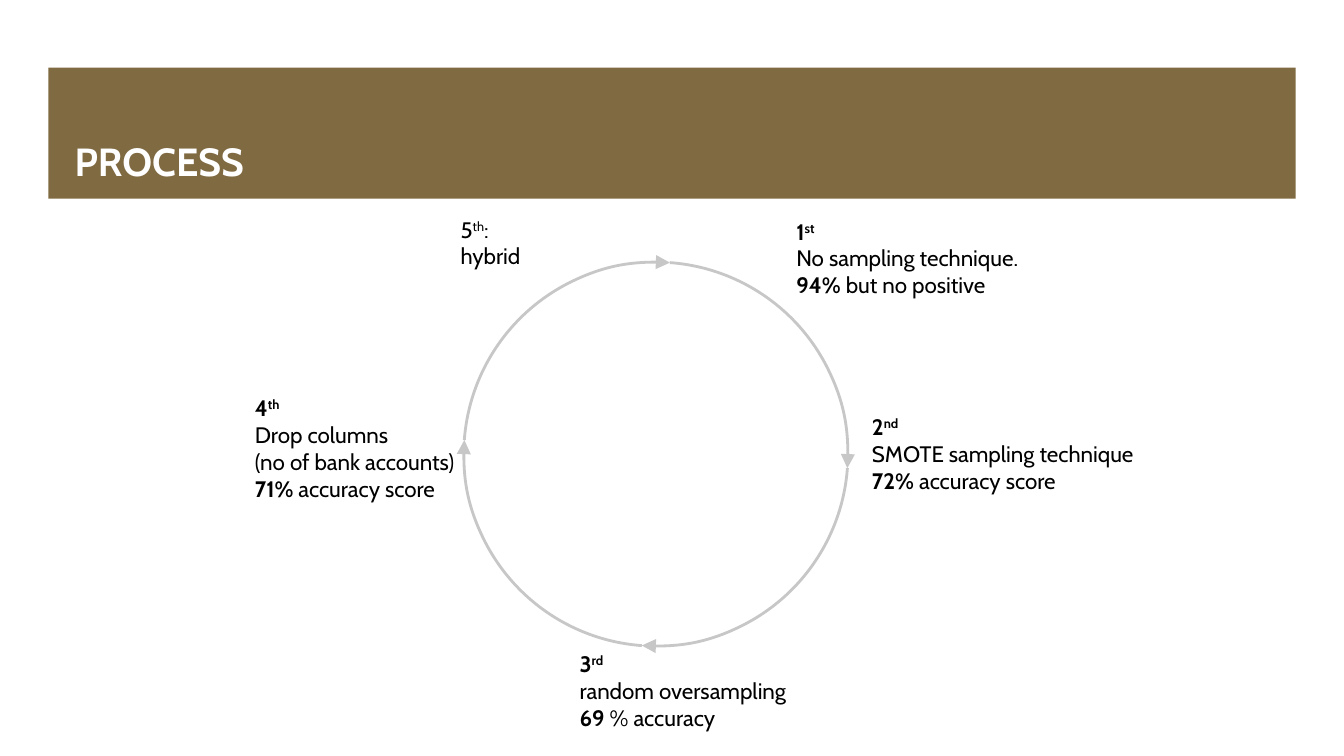
from lxml import etree
from pptx import Presentation
from pptx import util as u
from pptx.dml.color import RGBColor
from pptx.enum import shapes, text
from pptx.oxml import ns

BROWN = RGBColor(0x80, 0x6A, 0x42)
GREY = RGBColor(0xC7, 0xC7, 0xC7)
WHITE = RGBColor(0xFF, 0xFF, 0xFF)
BLACK = RGBColor(0, 0, 0)
FONT = "Cabin"
COLS, ROWS = 133.3, 75
CELL = u.Inches(0.1)

STEPS = [
    ((78, 21.1, 46.8, 9.1), [
        [("1", "b"), ("st", "b^/"), ("No sampling technique.", "/"),
         ("94%", "b"), (" but no positive", "")]]),
    ((85.5, 40.5, 42.9, 9.1), [
        [("2", "b"), ("nd", "b^")],
        [("SMOTE sampling technique", "/"),
         ("72% ", "b"), ("accuracy score", "")]]),
    ((56.5, 64, 39.4, 9.1), [
        [("3", "b"), ("rd", "b^")],
        [("random oversampling", "")],
        [("69", "b"), (" % accuracy", "")]]),
    ((24.3, 38.6, 21.9, 11.8), [
        [("4", "b"), ("th", "b^/"), ("Drop columns", "/"),
         ("(no of bank accounts)", "")],
        [("71%", "b"), (" accuracy score", "")]]),
    ((44.7, 20.9, 13.1, 9.1), [
        [("5", ""), ("th", "^"), (":", "")],
        [("hybrid", "")]]),
]


def grid(box):
    return [u.Emu(round(n * CELL)) for n in box]


def write(para, words, style, size, color):
    run = para.add_run()
    run.text = words
    font = run.font
    font.name, font.size, font.bold = FONT, u.Pt(size), "b" in style
    font.color.rgb = color
    if "^" in style:
        run._r.get_or_add_rPr().set("baseline", "30000")
    if "/" in style:
        para.add_line_break()


def panel(slide, box, color):
    rect = slide.shapes.add_shape(shapes.MSO_SHAPE.RECTANGLE, *grid(box))
    rect.shadow.inherit = False
    rect.fill.solid()
    rect.fill.fore_color.rgb = color
    rect.line.fill.background()
    return rect


def header(slide, box):
    left, top, width, height = box
    bar = panel(slide, box, BROWN)
    title = slide.shapes.title
    title._element.addprevious(bar._element)
    inset = (left + 1.6, top + 1, width - 3.1, height - 1.9)
    title.left, title.top, title.width, title.height = grid(inset)
    frame = title.text_frame
    frame.vertical_anchor = text.MSO_ANCHOR.BOTTOM
    para = frame.paragraphs[0]
    para.alignment = text.PP_ALIGN.LEFT
    write(para, "PROCESS", "b", 28, WHITE)


def label(slide, box, paras):
    frame = panel(slide, box, WHITE).text_frame
    frame.word_wrap = True
    frame.vertical_anchor = text.MSO_ANCHOR.TOP
    for row, parts in enumerate(paras):
        para = frame.add_paragraph() if row else frame.paragraphs[0]
        para.alignment = text.PP_ALIGN.LEFT
        for words, style in parts:
            write(para, words, style, 16, BLACK)


def cycle(slide, box):
    for turn in range(4):
        arc = slide.shapes.add_shape(shapes.MSO_SHAPE.ARC, *grid(box))
        arc.shadow.inherit = False
        arc.rotation = 4.2 + 90 * turn
        arc.fill.background()
        arc.line.color.rgb = GREY
        arc.line.width = u.Pt(2)
        line = arc.line._get_or_add_ln()
        etree.SubElement(line, ns.qn("a:tailEnd"),
                         type="triangle", w="lg", len="lg")


def main():
    deck = Presentation()
    deck.slide_width, deck.slide_height = grid((COLS, ROWS))
    slide = deck.slides.add_slide(deck.slide_layouts[5])
    header(slide, (4.8, 6.7, 123.7, 13))
    for box, paras in STEPS:
        label(slide, box, paras)
    cycle(slide, (46, 26, 38.1, 38.1))
    deck.save("out.pptx")


if __name__ == "__main__":
    main()
